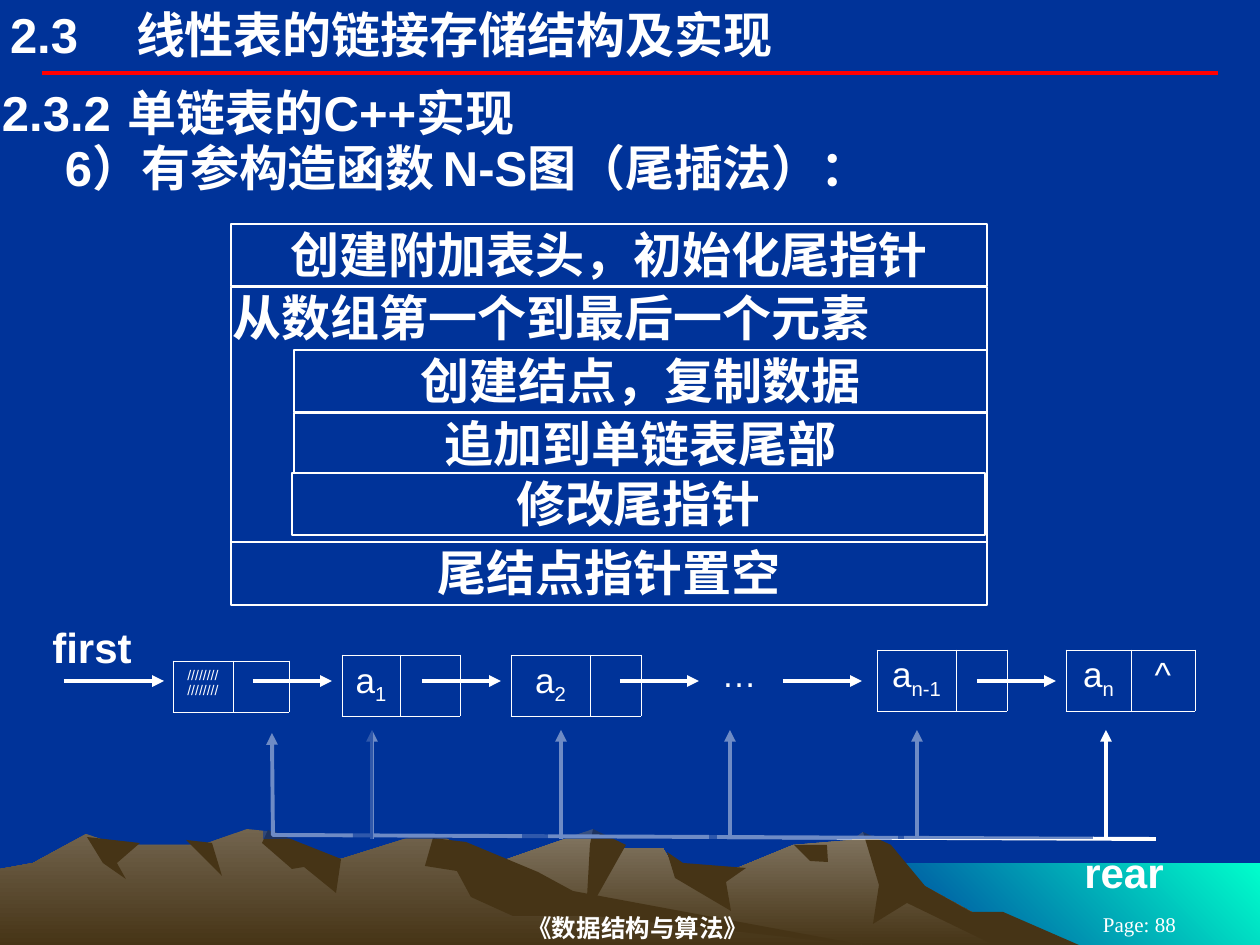
from lxml import etree
from pptx import Presentation
from pptx import util as u
from pptx.dml.color import RGBColor
from pptx.enum import shapes, text
from pptx.oxml import ns, parse_xml

PX = 914400 / 126
NAVY = RGBColor(0x00, 0x33, 0x99)
WHITE = RGBColor(0xFF, 0xFF, 0xFF)
RED = RGBColor(0xFF, 0x00, 0x00)
AQUA = RGBColor(0x00, 0xFF, 0xCC)
STONE = RGBColor(0x83, 0x77, 0x63)
EARTH = RGBColor(0x72, 0x64, 0x4E)
BROWN = RGBColor(0x46, 0x34, 0x16)
LEFT, CENTER = text.PP_ALIGN.LEFT, text.PP_ALIGN.CENTER
TOP, MIDDLE = text.MSO_ANCHOR.TOP, text.MSO_ANCHOR.MIDDLE


def add_run(paragraph, words, size, bold=False, face="Arial"):
    run = paragraph.add_run()
    run.text = words
    run.font.size = u.Pt(size)
    run.font.bold = bold
    run.font.name = face
    run.font.color.rgb = WHITE
    return run


def set_frame(frame, anchor=TOP, side=2, edge=1):
    frame.word_wrap = True
    frame.auto_size = text.MSO_AUTO_SIZE.NONE
    frame.vertical_anchor = anchor
    frame.margin_left = frame.margin_right = int(side * PX)
    frame.margin_top = frame.margin_bottom = int(edge * PX)


prs = Presentation()
prs.slide_width, prs.slide_height = u.Inches(10), u.Inches(7.5)
slide = prs.slides.add_slide(prs.slide_layouts[1])
slide.background.fill.solid()
slide.background.fill.fore_color.rgb = NAVY

headings = [
    (slide.shapes.title, (10, 4, 819, 59), 0, None, [("2.3\t线性表的链接存储结构及实现", [108])]),
    (slide.placeholders[1], (0, 86, 1260, 116), 2, 31.4,
     [("2.3.2\t单链表的C++实现", [162]),
      ("\t6）有参构造函数\tN-S图（尾插法）：", [136, 563])]),
]
for heading, box, inset, leading, lines in headings:
    heading.left, heading.top, heading.width, heading.height = [int(v * PX) for v in box]
    frame = heading.text_frame
    set_frame(frame, side=inset, edge=0)
    for index, (words, stops) in enumerate(lines):
        paragraph = frame.add_paragraph() if index else frame.paragraphs[0]
        props = paragraph._p.get_or_add_pPr()
        props.set("marL", "0")
        props.set("indent", "0")
        etree.SubElement(props, ns.qn("a:buNone"))
        tabs = etree.SubElement(props, ns.qn("a:tabLst"))
        for stop in stops:
            etree.SubElement(tabs, ns.qn("a:tab"), pos=str(int(stop * PX)), algn="l")
        paragraph.alignment = LEFT
        paragraph.space_before = u.Pt(0)
        if leading:
            paragraph.line_spacing = u.Pt(leading)
        add_run(paragraph, words, 28, True)

scenery = [
    ((AQUA, NAVY, 225), [(1260, 947), (861, 947), (861, 863), (1260, 863)]),
    ((STONE, BROWN, 270), [
        (1034, 946), (911, 879), (863, 832), (852, 840), (793, 845), (713, 878), (675, 869),
        (663, 848), (612, 848), (593, 829), (496, 863), (412, 893), (325, 946)]),
    (BROWN, [(863, 832), (891, 845), (925, 886), (971, 912), (1003, 912), (1081, 946),
             (998, 947), (907, 903), (873, 924), (879, 885)]),
    (BROWN, [(593, 829), (626, 845), (586, 916), (590, 845)]),
    (BROWN, [(667, 852), (683, 863), (746, 868), (726, 882), (731, 911), (675, 878)]),
    (BROWN, [(794, 845), (827, 845), (828, 862), (810, 861)]),
    ((EARTH, BROWN, 270), [
        (869, 946), (544, 897), (446, 838), (417, 835), (341, 859), (297, 858), (276, 832),
        (247, 829), (202, 845), (118, 845), (86, 834), (33, 863), (0, 869), (0, 946)]),
    (BROWN, [(268, 830), (341, 859), (336, 893), (304, 867), (292, 869), (262, 843)]),
    (BROWN, [(433, 838), (466, 842), (538, 872), (573, 891), (869, 946), (595, 916),
             (513, 916), (471, 897), (457, 871), (425, 866)]),
    (BROWN, [(186, 840), (212, 843), (222, 876)]),
    (BROWN, [(87, 837), (140, 843), (117, 863), (126, 879), (103, 863)]),
]
for paint, points in scenery:
    builder = slide.shapes.build_freeform(*points[0], scale=PX)
    builder.add_line_segments(points[1:], close=True)
    land = builder.convert_to_shape()
    land.shadow.inherit = False
    land.line.fill.background()
    if isinstance(paint, RGBColor):
        land.fill.solid()
        land.fill.fore_color.rgb = paint
    else:
        land.fill.gradient()
        land.fill.gradient_angle = paint[2]
        for stop, colour in zip(land.fill.gradient_stops, paint):
            stop.color.rgb = colour

labels = [
    ("《数据结构与算法》", (256, 910, 764, 35), 14, True, "Times New Roman", MIDDLE),
    ("Page: 88", (1040, 914, 199, 21), 12, False, "Times New Roman", MIDDLE),
    ("first", (25, 621, 134, 53), 24, True, "Arial", TOP),
    ("rear", (1057, 846, 134, 53), 24, True, "Arial", TOP),
]
for words, box, size, bold, face, anchor in labels:
    label = slide.shapes.add_textbox(*[int(v * PX) for v in box])
    set_frame(label.text_frame, anchor)
    paragraph = label.text_frame.paragraphs[0]
    paragraph.alignment = CENTER
    add_run(paragraph, words, size, bold, face)

nodes = [
    (173, 661, 51, (60, 56), "////////////////", "", ""),
    (342, 655, 61, (58, 60), "a", "1", ""),
    (511, 655, 61, (79, 51), "a", "2", ""),
    (709, 650, 56, (59,), "…", "", ""),
    (877, 650, 61, (79, 51), "a", "n-1", ""),
    (1066, 650, 61, (65, 64), "a", "n", "^"),
]
for left, top, height, widths, value, subscript, link in nodes:
    node = slide.shapes.add_table(
        1, len(widths), *[int(v * PX) for v in (left, top, sum(widths), height)]).table
    node.first_row = node.horz_banding = False
    edge = '<a:solidFill><a:srgbClr val="FFFFFF"/></a:solidFill>' if len(widths) > 1 else "<a:noFill/>"
    for index, width in enumerate(widths):
        node.columns[index].width = int(width * PX)
        cell = node.cell(0, index)
        for side in "LRTB":
            cell._tc.get_or_add_tcPr().append(
                parse_xml(f'<a:ln{side} {ns.nsdecls("a")} w="5715">{edge}</a:ln{side}>'))
        cell.fill.background()
        paragraph = cell.text_frame.paragraphs[0]
        paragraph.alignment = CENTER
        if index == 0:
            add_run(paragraph, value, 8 if value.startswith("/") else 20)
            if subscript:
                run = add_run(paragraph, subscript, 20)
                run.font._element.set("baseline", "-25000")
        elif link:
            add_run(paragraph, link, 20)

builder = slide.shapes.build_freeform(1156, 839, scale=PX)
builder.add_line_segments([(273, 835), (272, 733)], close=False)
rear_path = builder.convert_to_shape()
rear_path.shadow.inherit = False
rear_path.fill.background()
rear_path.line.color.rgb = WHITE
rear_path.line.width = u.Pt(2.25)
etree.SubElement(rear_path.line._get_or_add_ln(), ns.qn("a:tailEnd"), type="triangle")

strokes = [((42, 73, 1218, 73), RED, None), ((64, 681, 164, 681), WHITE, None)]
for start in (253, 422, 620, 783, 977):
    strokes.append(((start, 681, start + 79, 681), WHITE, None))
for x in (372, 561, 730, 917, 1106):
    veil_left, veil_right = max(x - 208, 263), max(x - 13, 373)
    strokes.append(((x, 839, x, 730), WHITE, (veil_left, 721, veil_right - veil_left, 118)))
for ends, colour, veil_box in strokes:
    stroke = slide.shapes.add_connector(
        shapes.MSO_CONNECTOR.STRAIGHT, *[int(v * PX) for v in ends])
    stroke.line.color.rgb = colour
    stroke.line.width = u.Pt(2.25)
    if colour == WHITE:
        etree.SubElement(stroke.line._get_or_add_ln(), ns.qn("a:tailEnd"), type="triangle")
    etree.SubElement(stroke._element.spPr, ns.qn("a:effectLst"))
    if veil_box:
        veil = slide.shapes.add_shape(
            shapes.MSO_SHAPE.RECTANGLE, *[int(v * PX) for v in veil_box])
        veil.shadow.inherit = False
        veil.line.fill.background()
        veil.fill.solid()
        veil.fill.fore_color.rgb = NAVY
        tint = veil._element.spPr.find(ns.qn("a:solidFill"))[0]
        etree.SubElement(tint, ns.qn("a:alpha"), val="57000")

steps = [
    ("创建附加表头，初始化尾指针", 231, 224, 62, CENTER),
    ("从数组第一个到最后一个元素", 231, 287, 255, LEFT),
    ("创建结点，复制数据", 294, 350, 62, CENTER),
    ("追加到单链表尾部", 294, 413, 62, CENTER),
    ("尾结点指针置空", 231, 542, 63, CENTER),
    ("修改尾指针", 292, 473, 62, CENTER),
]
for words, left, top, height, align in steps:
    nested = left > 231
    box = (left, top, 693 if nested else 756, height)
    step = slide.shapes.add_shape(shapes.MSO_SHAPE.RECTANGLE, *[int(v * PX) for v in box])
    step.shadow.inherit = False
    step.line.color.rgb = WHITE
    step.line.width = u.Pt(0.75)
    if nested:
        step.fill.solid()
        step.fill.fore_color.rgb = NAVY
    else:
        step.fill.background()
    set_frame(step.text_frame)
    paragraph = step.text_frame.paragraphs[0]
    paragraph.alignment = align
    add_run(paragraph, words, 28, True)

prs.save("out.pptx")
